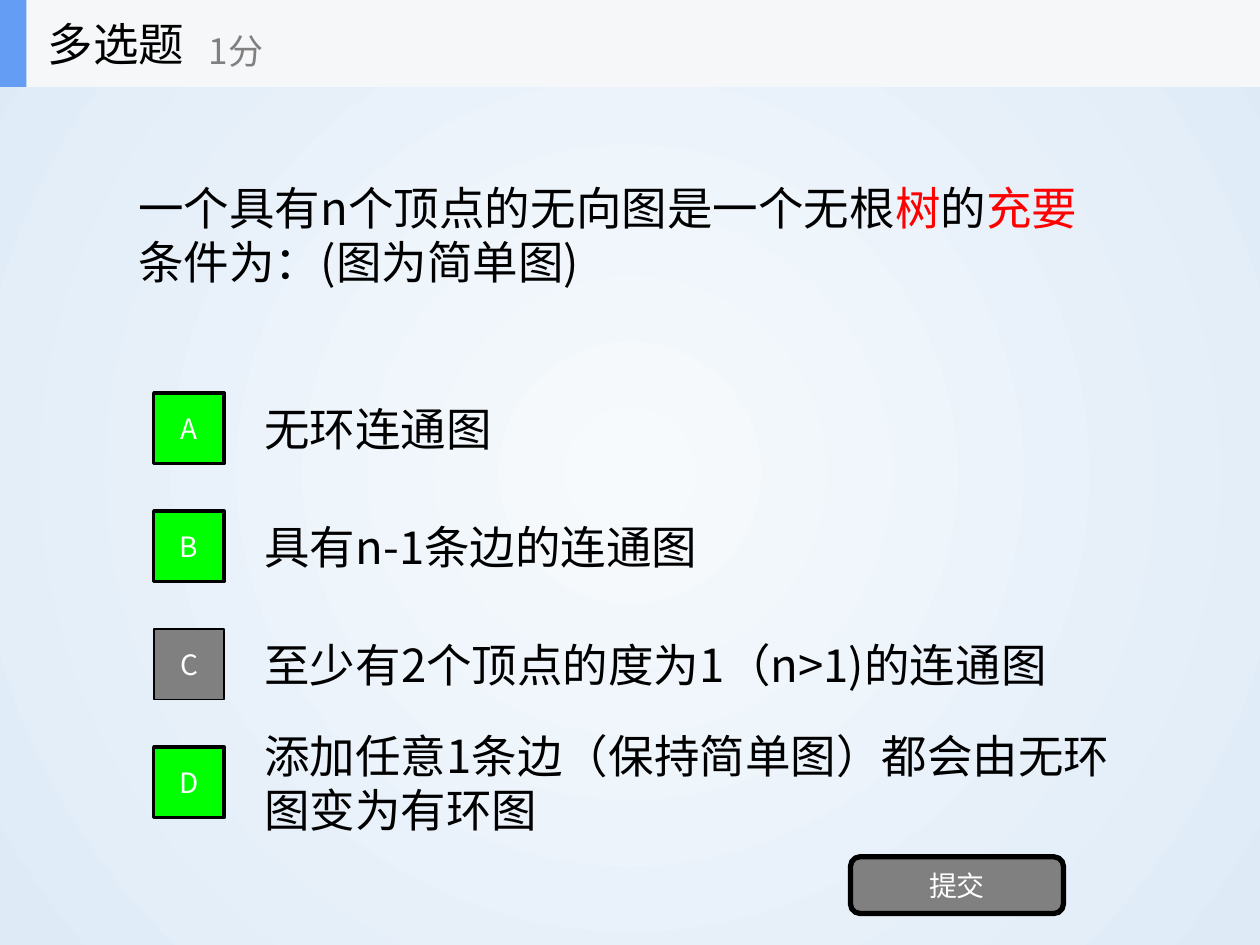
from dataclasses import dataclass

from lxml import etree
from pptx import Presentation
from pptx.dml.color import RGBColor
from pptx.enum.shapes import MSO_SHAPE
from pptx.enum.text import MSO_ANCHOR, PP_ALIGN
from pptx.oxml import parse_xml
from pptx.oxml.ns import qn
from pptx.util import Inches, Pt

RECT = MSO_SHAPE.RECTANGLE
ROUNDED = MSO_SHAPE.ROUNDED_RECTANGLE
MIDDLE = MSO_ANCHOR.MIDDLE
CENTER = PP_ALIGN.CENTER
A_NS = "http://schemas.openxmlformats.org/drawingml/2006/main"


@dataclass(frozen=True)
class Theme:
    """Colours, font and type sizes of the quiz slide."""
    font: str = "Noto Sans CJK SC"
    body: int = 26
    score: int = 20
    label: int = 16
    ink: str = "000000"
    white: str = "FFFFFF"
    muted: str = "808080"
    key: str = "FF0000"
    correct: str = "00FF00"
    bar: str = "F6F7F8"
    accent: str = "639EF4"
    glow: str = "F7FAFD"
    edge: str = "DEEBF7"


T = Theme()
QUESTION = [("一个具有n个顶点的无向图是一个无根", T.ink), ("树", T.key), ("的", T.ink),
            ("充要", T.key), ("条件为：(图为简单图)", T.ink)]
OPTIONS = [("A", "无环连通图", True),
           ("B", "具有n-1条边的连通图", True),
           ("C", "至少有2个顶点的度为1（n>1)的连通图", False),
           ("D", "添加任意1条边（保持简单图）都会由无环图变为有环图", True)]


def rgb(color):
    """Return the colour object for a hex string."""
    return RGBColor.from_string(color)


def write(sp, runs, size, align=None, wrap=True):
    """Write one paragraph of (text, colour) runs, centred vertically in sp."""
    tf = sp.text_frame
    tf.word_wrap = wrap
    tf.vertical_anchor = MIDDLE
    p = tf.paragraphs[0]
    if align is not None:
        p.alignment = align
    p.font.name = T.font
    p.font.size = Pt(size)
    latin = p._p.pPr.find(qn("a:defRPr")).find(qn("a:latin"))
    latin.addnext(latin.makeelement(qn("a:ea"), {"typeface": T.font}))
    if len(runs) == 1:
        p.font.color.rgb = rgb(runs[0][1])
    for text, color in runs:
        r = p.add_run()
        r.text = text
        if len(runs) > 1:
            r.font.color.rgb = rgb(color)


def add_text(shapes, box, runs, size, wrap=True):
    """Add a text box at box, given in inches."""
    write(shapes.add_textbox(*map(Inches, box)), runs, size, wrap=wrap)


def add_block(shapes, box, fill, kind=RECT, line=None, label=None):
    """Add a filled shape with an optional outline width and label."""
    sp = shapes.add_shape(kind, *map(Inches, box))
    sp.shadow.inherit = False
    sp.fill.solid()
    sp.fill.fore_color.rgb = rgb(fill)
    if line:
        sp.line.color.rgb = rgb(T.ink)
        sp.line.width = Pt(line)
    else:
        sp.line.fill.background()
    if label:
        write(sp, [(label, T.white)], T.label, CENTER)


def set_background(s):
    """Fill the slide with a circular gradient from its centre."""
    fill = s.background.fill
    fill.gradient()
    for stop, color in zip(fill.gradient_stops, (T.glow, T.edge)):
        stop.color.rgb = rgb(color)
    grad = s._element.cSld.find(".//" + qn("a:gradFill"))
    grad.remove(grad.find(qn("a:lin")))
    circle = parse_xml(f'<a:path xmlns:a="{A_NS}" path="circle"/>')
    etree.SubElement(circle, qn("a:fillToRect"), dict.fromkeys("ltrb", "50000"))
    grad.find(qn("a:gsLst")).addnext(circle)


def add_options(s, box):
    """Spread the answers evenly over box, each with a lettered square."""
    left, top, width, height = box
    row, side, gap = 0.7, 0.56, 0.22
    pitch = (height - row) / (len(OPTIONS) - 1)
    for i, (letter, text, correct) in enumerate(OPTIONS):
        y = top + i * pitch
        text_left = left + side + gap
        add_text(s.shapes, (text_left, y, width - side - gap, row),
                 [(text, T.ink)], T.body)
        add_block(s.shapes, (left, y + (row - side) / 2, side, side),
                  T.correct if correct else T.muted,
                  line=2 if correct else 1, label=letter)


def add_header(s, box):
    """Add the grouped title bar with question type and score."""
    left, top, width, height = box
    shapes = s.shapes.add_group_shape().shapes
    add_block(shapes, box, T.bar)
    add_block(shapes, (left, top, 0.21, height), T.accent)
    add_text(shapes, (left + 0.28, top, 2.08, height),
             [("多选题", T.ink)], T.body, wrap=False)
    add_text(shapes, (left + 1.56, top + 0.12, 2.5, 0.56),
             [("1分", T.muted)], T.score, wrap=False)


def main():
    """Build and save the quiz slide."""
    prs = Presentation()
    prs.slide_width, prs.slide_height = Inches(10), Inches(7.5)
    s = prs.slides.add_slide(prs.slide_layouts[6])
    set_background(s)
    add_text(s.shapes, (1, 0.69, 8, 2.34), QUESTION, T.body)
    add_options(s, (1.22, 3.05, 7.78, 3.51))
    add_block(s.shapes, (6.75, 6.8, 1.69, 0.45), T.muted, ROUNDED, 3, "提交")
    add_header(s, (0, 0, 10, 0.69))
    prs.save("out.pptx")


if __name__ == "__main__":
    main()
